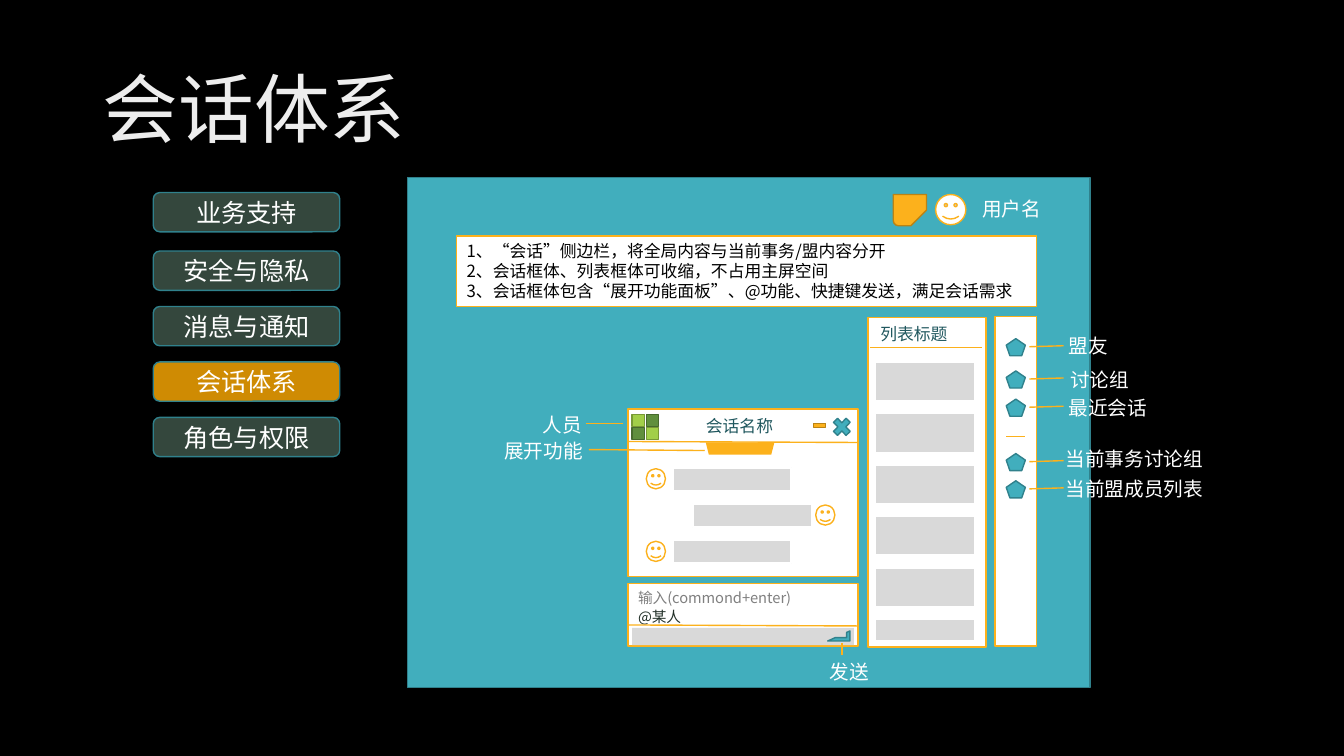
from pptx import Presentation
from pptx.dml.color import RGBColor
from pptx.enum.shapes import MSO_CONNECTOR, MSO_SHAPE
from pptx.enum.text import MSO_ANCHOR, PP_ALIGN
from pptx.oxml.ns import qn
from pptx.util import Inches, Pt
from lxml import etree

RECT, ROUND = MSO_SHAPE.RECTANGLE, MSO_SHAPE.ROUNDED_RECTANGLE
SMILEY, PENTAGON = MSO_SHAPE.SMILEY_FACE, MSO_SHAPE.REGULAR_PENTAGON
NOTE, TRAPEZOID = MSO_SHAPE.SNIP_ROUND_RECTANGLE, MSO_SHAPE.TRAPEZOID
MINUS, CROSS = MSO_SHAPE.MATH_MINUS, MSO_SHAPE.MATH_MULTIPLY
ENTER = MSO_SHAPE.HALF_FRAME
STRAIGHT = MSO_CONNECTOR.STRAIGHT
LEFT, CENTER = PP_ALIGN.LEFT, PP_ALIGN.CENTER
TOP, MIDDLE = MSO_ANCHOR.TOP, MSO_ANCHOR.MIDDLE

FONT = "Noto Sans CJK SC"
WHITE, BLACK, GREY = "FFFFFF", "000000", "D9D9D9"
TEAL, TEAL_EDGE, TEAL_TEXT = "41AEBD", "30818C", "20575E"
AMBER, AMBER_EDGE = "FCB11C", "BA8315"
LIME, LIME_EDGE, GREEN, GREEN_EDGE = "A2CF49", "789936", "608F3D", "476A2D"


def rgb(value):
    return RGBColor.from_string(value)


def write(tf, lines, size, colors, align=CENTER, anchor=MIDDLE, spacing=None):
    """Fill a text frame with one paragraph per line, cycling through colors."""
    tf.vertical_anchor = anchor
    for i, line in enumerate(lines):
        p = tf.paragraphs[0] if i == 0 else tf.add_paragraph()
        p.alignment = align
        if spacing:
            p.line_spacing = spacing
        r = p.add_run()
        r.text = line
        r.font.size = Pt(size)
        r.font.name = FONT
        r.font.color.rgb = rgb(colors[i % len(colors)])
        ea = etree.SubElement(r.font._element, qn("a:ea"))
        ea.set("typeface", FONT)


def shape(s, kind, x, y, w, h, fill, edge=None, width=1, flip=""):
    sp = s.shapes.add_shape(kind, Inches(x), Inches(y), Inches(w), Inches(h))
    sp.shadow.inherit = False
    sp.fill.solid()
    sp.fill.fore_color.rgb = rgb(fill)
    if edge:
        sp.line.color.rgb = rgb(edge)
        sp.line.width = Pt(width)
    else:
        sp.line.fill.background()
    for axis in flip:
        sp._element.spPr.xfrm.set("flip" + axis, "1")
    return sp


def smiley(s, x, y, w, h):
    shape(s, SMILEY, x, y, w, h, WHITE, AMBER).adjustments[0] = 0.047


def line(s, x1, y1, x2, y2):
    c = s.shapes.add_connector(STRAIGHT, Inches(x1), Inches(y1), Inches(x2), Inches(y2))
    c.line.color.rgb = rgb(AMBER)
    c.line.width = Pt(1)
    etree.SubElement(c._element.spPr, qn("a:effectLst"))


def label(s, text, x, y, w, h=0.34, size=14, color=WHITE):
    tb = s.shapes.add_textbox(Inches(x), Inches(y), Inches(w), Inches(h))
    tb.text_frame.word_wrap = False
    write(tb.text_frame, [text], size, [color])


def title(s, x, y, w, h):
    sp = s.shapes.title
    sp.left, sp.top, sp.width, sp.height = (Inches(v) for v in (x, y, w, h))
    write(sp.text_frame, ["会话体系"], 54, ["EDEDED"], LEFT, spacing=0.9)


def menu(s, x, y, w, h):
    items = ["业务支持", "安全与隐私", "消息与通知", "会话体系", "角色与权限"]
    pitch, first_gap = 0.55, 0.03
    for i, item in enumerate(items):
        top = y + i * pitch + (first_gap if i else 0)
        fill = "CF8B03" if item == "会话体系" else "34473D"
        sp = shape(s, ROUND, x, top, w, h, fill, TEAL_EDGE)
        write(sp.text_frame, [item], 18, [WHITE])


def user_bar(s, x, y):
    shape(s, NOTE, x, y, 0.33, 0.31, AMBER, AMBER_EDGE, flip="V").adjustments[1] = 0.5
    smiley(s, x + 0.42, y, 0.3, 0.3)
    label(s, "用户名", x + 0.75, y - 0.03, 0.85)


def summary(s, x, y, w, h):
    sp = shape(s, RECT, x, y, w, h, WHITE, AMBER)
    write(sp.text_frame, [
        "1、“会话”侧边栏，将全局内容与当前事务/盟内容分开",
        "2、会话框体、列表框体可收缩，不占用主屏空间",
        "3、会话框体包含“展开功能面板”、@功能、快捷键发送，满足会话需求",
    ], 12, [BLACK], LEFT, TOP, Pt(14.4))


def list_panel(s, x, y, w, h):
    shape(s, RECT, x, y, w, h, WHITE, AMBER)
    line(s, x + 0.02, y + 0.3, x + w - 0.04, y + 0.3)
    label(s, "列表标题", x, y + 0.01, 0.91, 0.3, 12, TEAL_TEXT)
    cards, pitch = 6, 0.51
    for i in range(cards):
        height = 0.39 if i < cards - 1 else 0.22
        shape(s, RECT, x + 0.07, y + 0.44 + i * pitch, 0.99, height, GREY, WHITE, 1.5)


def side_bar(s, x, y, w, h):
    shape(s, RECT, x, y, w, h, WHITE, AMBER)
    line(s, x + 0.11, y + 1.19, x + 0.3, y + 1.19)
    entries = [  # text, icon offset, label offset, label width
        ("盟友", 0.22, 0.12, 0.67),
        ("讨论组", 0.54, 0.46, 0.89),
        ("最近会话", 0.82, 0.73, 1.06),
        ("当前事务讨论组", 1.36, 1.24, 1.58),
        ("当前盟成员列表", 1.63, 1.54, 1.58),
    ]
    for text, icon, text_top, width in entries:
        shape(s, PENTAGON, x + 0.11, y + icon, 0.19, 0.17, TEAL, TEAL_EDGE)
        line(s, x + 0.34, y + icon + 0.08, x + 0.68, y + icon + 0.07)
        label(s, text, x + 0.59, y + text_top, width)


def chat_window(s, x, y, w, h):
    shape(s, RECT, x, y, w, h, WHITE, AMBER)
    line(s, x, y + 0.32, x + w, y + 0.33)
    shape(s, MINUS, x + 1.82, y + 0.07, 0.16, 0.18, AMBER, AMBER_EDGE)
    shape(s, CROSS, x + 2, y + 0.05, 0.24, 0.25, TEAL, TEAL_EDGE)
    for row in range(2):
        for col in range(2):
            fill, edge = (LIME, LIME_EDGE) if row == col else (GREEN, GREEN_EDGE)
            shape(s, RECT, x + 0.04 + col * 0.14, y + 0.05 + row * 0.13, 0.12, 0.12, fill, edge)
    label(s, "会话名称", x + 0.65, y + 0.01, 0.91, 0.3, 12, TEAL_TEXT)
    shape(s, TRAPEZOID, x + 0.77, y + 0.33, 0.68, 0.12, AMBER, flip="V")
    line(s, x - 0.42, y + 0.14, x - 0.05, y + 0.14)
    label(s, "人员", x - 0.99, y - 0.02, 0.67)
    line(s, x - 0.39, y + 0.4, x + 0.76, y + 0.41)
    label(s, "展开功能", x - 1.35, y + 0.24, 1.02)
    for i, (face, bubble) in enumerate([(0.18, 0.44), (1.86, 0.64), (0.18, 0.44)]):
        top = y + 0.58 + i * 0.36
        smiley(s, x + face, top + 0.01, 0.19, 0.2)
        shape(s, RECT, x + bubble, top, 1.18, 0.23, GREY, WHITE, 1.5)


def input_box(s, x, y, w, h):
    sp = shape(s, RECT, x, y, w, h, WHITE, AMBER)
    write(sp.text_frame, ["输入(commond+enter)", "@某人"], 10.5,
          ["808080", "223028"], LEFT, TOP, Pt(13))
    line(s, x, y + 0.41, x + w, y + 0.42)
    shape(s, RECT, x + 0.04, y + 0.44, w - 0.08, 0.17, GREY)
    shape(s, ENTER, x + 1.98, y + 0.47, 0.22, 0.1, TEAL, TEAL_EDGE, flip="HV")
    line(s, x + 2.12, y + 0.71, x + 2.12, y + 0.59)
    label(s, "发送", x + 1.86, y + 0.7, 0.67)


def screen(s, x, y, w, h):
    shape(s, RECT, x, y, w, h, TEAL, TEAL_EDGE)
    user_bar(s, x + 4.82, y + 0.17)
    summary(s, x + 0.49, y + 0.58, 5.75, 0.7)
    list_panel(s, x + 4.57, y + 1.39, 1.17, 3.27)
    side_bar(s, x + 5.83, y + 1.38, 0.41, 3.27)
    chat_window(s, x + 2.19, y + 2.3, 2.28, 1.66)
    input_box(s, x + 2.19, y + 4.03, 2.28, 0.62)


def main():
    prs = Presentation()
    prs.slide_width, prs.slide_height = Inches(13.33), Inches(7.5)
    s = prs.slides.add_slide(prs.slide_layouts[5])
    s.background.fill.solid()
    s.background.fill.fore_color.rgb = rgb(BLACK)
    title(s, 0.92, 0.4, 11.5, 1.45)
    menu(s, 1.52, 1.91, 1.85, 0.39)
    screen(s, 4.04, 1.76, 6.77, 5.06)
    prs.save("out.pptx")


if __name__ == "__main__":
    main()
